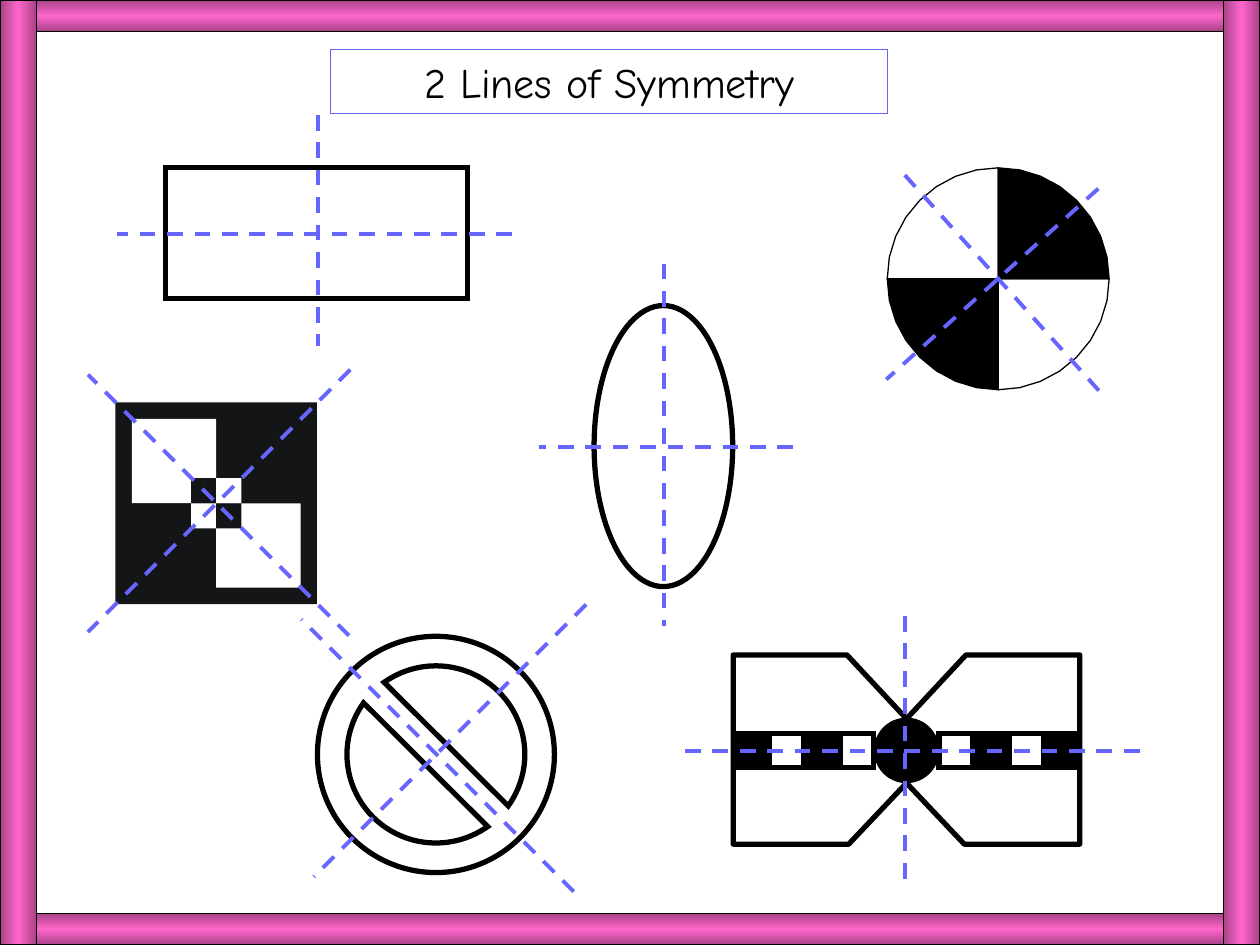
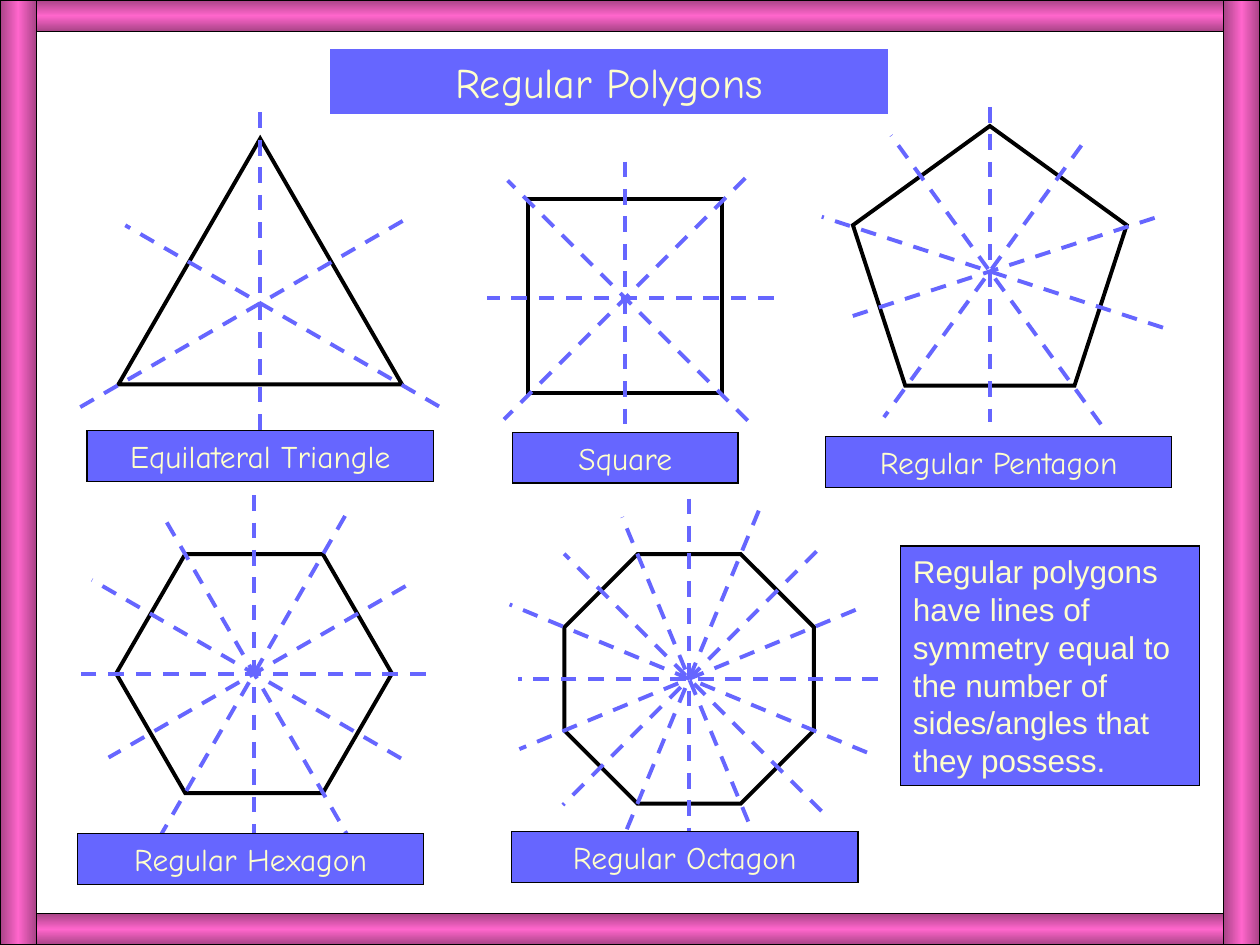
"""Two slides on lines of symmetry, drawn from shared frame, title and axis rules."""
from copy import deepcopy
from dataclasses import dataclass
from math import cos, radians, sin

from pptx import Presentation
from pptx import util as u
from pptx.dml.color import RGBColor
from pptx.enum import dml, shapes, text
from pptx.oxml import ns
from pptx.oxml.xmlchemy import OxmlElement

Pt = u.Pt
SHAPE = shapes.MSO_SHAPE


@dataclass(frozen=True)
class Theme:
    """Colours, fonts and sizes shared by both slides."""
    violet: str = "6666FF"
    cream: str = "FFFFCC"
    black: str = "000000"
    white: str = "FFFFFF"
    ink: str = "131516"
    pink: str = "FF66CC"
    plum: str = "A84386"
    hand: str = "Comic Neue"
    sans: str = "Arial"
    title: float = 24
    body: float = 18
    hair: float = 0.75
    axis: float = 2.25
    bold: float = 3


T = Theme()
WIDTH, HEIGHT = 720, 540


def rgb(value):
    """Return a colour object for a hex string."""
    return RGBColor.from_string(value)


def paint(sp, fill=None, line=None, width=T.hair, join="miter"):
    """Give a shape its fill, outline and corner style."""
    if fill:
        sp.fill.solid()
        sp.fill.fore_color.rgb = rgb(fill)
    else:
        sp.fill.background()
    if line:
        sp.line.color.rgb = rgb(line)
        sp.line.width = Pt(width)
        sp.line._get_or_add_ln().append(OxmlElement(f"a:{join}"))
    else:
        sp.line.fill.background()


def add_preset(s, kind, box, **look):
    """Add a preset shape in a box of points."""
    sp = s.shapes.add_shape(kind, *map(Pt, box))
    sp.shadow.inherit = False
    paint(sp, **look)
    return sp


def add_outline(s, points, close, **look):
    """Add a freeform through a list of points."""
    points = [(Pt(x), Pt(y)) for x, y in points]
    builder = s.shapes.build_freeform(*points[0], scale=1.0)
    builder.add_line_segments(points[1:], close=close)
    sp = builder.convert_to_shape()
    sp.shadow.inherit = False
    paint(sp, **look)


def write(sp, words, size, color, font=T.hand, align=text.PP_ALIGN.CENTER):
    """Write one paragraph into a shape from its top edge."""
    tf = sp.text_frame
    tf.text = words
    tf.word_wrap = True
    tf.auto_size = text.MSO_AUTO_SIZE.NONE
    tf.vertical_anchor = text.MSO_ANCHOR.TOP
    tf.margin_left = tf.margin_right = Pt(7.2)
    tf.margin_top = tf.margin_bottom = Pt(3.6)
    p = tf.paragraphs[0]
    p.alignment = align
    p.line_spacing = 1.0
    p.space_before = Pt(0)
    f = p.runs[0].font
    f.name, f.size, f.color.rgb = font, Pt(size), rgb(color)


def add_axes(s, center, reaches, start=0):
    """Draw evenly turned dashed axes, each with a forward and a backward reach."""
    cx, cy = center
    for k, (ahead, back) in enumerate(reaches):
        t = radians(start + k * 180 / len(reaches))
        dx, dy = sin(t), -cos(t)
        ends = (cx + ahead * dx, cy + ahead * dy, cx - back * dx, cy - back * dy)
        c = s.shapes.add_connector(shapes.MSO_CONNECTOR.STRAIGHT, *map(Pt, ends))
        c.line.color.rgb = rgb(T.violet)
        c.line.width = Pt(T.axis)
        c.line.dash_style = dml.MSO_LINE.DASH
        c._element.spPr.append(OxmlElement("a:effectLst"))


def add_bar(s, box, angle):
    """Add one glossy bar of the frame."""
    sp = add_preset(s, SHAPE.RECTANGLE, box, line=T.black)
    sp.fill.gradient()
    sp.fill.gradient_angle = angle
    stops = sp._element.spPr.find(ns.qn("a:gradFill")).find(ns.qn("a:gsLst"))
    stops.append(deepcopy(stops[0]))
    for stop, place, color in zip(sp.fill.gradient_stops, (0, 0.5, 1), (T.plum, T.pink, T.plum)):
        stop.color.rgb = rgb(color)
        stop.position = place


def add_framed_slide(prs, title, fill, color):
    """Add a slide with the pink frame and a boxed title."""
    s = prs.slides.add_slide(prs.slide_layouts[5])
    band, post = 18, 20.9
    for y in (0, HEIGHT - band):
        add_bar(s, (0, y, WIDTH, band), 90)
    for x in (0, WIDTH - post):
        add_bar(s, (x, 0, post, HEIGHT), 0)
    sp = s.shapes.title
    sp.left, sp.top, sp.width, sp.height = map(Pt, (189, 28.5, 318.2, 36.2))
    paint(sp, fill=fill, line=T.violet)
    write(sp, title, T.title, color)
    return s


def add_pinwheel(s, center, radius):
    """Draw a disc of four quarters, alternately black and white."""
    cx, cy = center
    for quarter in range(4):
        angles = [radians(90 * quarter + 11.25 * i) for i in range(9)]
        arc = [(cx + radius * cos(a), cy + radius * sin(a)) for a in angles]
        fill = T.black if quarter % 2 else T.white
        add_outline(s, [center, *arc], True, fill=fill, line=T.black, width=0)


def add_checker(s, box):
    """Draw the dark square with two white panels and four small centre squares."""
    x, y, w, h = box
    cx, cy = x + w / 2, y + h / 2
    add_preset(s, SHAPE.RECTANGLE, box, fill=T.ink)

    def corner(side, right, low, fill):
        """Place a square that touches the centre with one corner."""
        place = (cx if right else cx - side, cy if low else cy - side, side, side)
        add_preset(s, SHAPE.RECTANGLE, place, fill=fill)

    for same in (False, True):
        corner(48.2, same, same, T.white)
    for right in (False, True):
        for low in (False, True):
            corner(14.4, right, low, T.ink if right == low else T.white)


def add_bow(s, center):
    """Draw a bow with two wings, a round knot and a row of tiles on each side."""
    cx, cy = center
    wing = [(0, 18.7), (33, 53.6), (99, 53.6), (99, -54.5), (34, -54.5), (0, -18)]
    knot, tile, step, inset = 36.7, 19.4, 20.1, 18.6
    for side in (-1, 1):
        points = [(cx + side * x, cy + y) for x, y in wing]
        add_outline(s, points, False, line=T.black, width=T.bold, join="round")
    add_preset(s, SHAPE.OVAL, (cx - knot / 2, cy - knot / 2, knot, knot),
               fill=T.black, line=T.black)
    for side in (-1, 1):
        for i in range(4):
            middle = cx + side * (inset + i * step + tile / 2)
            add_preset(s, SHAPE.RECTANGLE, (middle - tile / 2, cy - tile / 2, tile, tile),
                       fill=T.black if i % 2 else T.white, line=T.black, width=T.bold)


def build_two_lines(prs):
    """Build the slide of figures with two axes each."""
    s = add_framed_slide(prs, "2 Lines of Symmetry", None, T.black)
    bold = dict(line=T.black, width=T.bold)
    add_preset(s, SHAPE.RECTANGLE, (94.5, 95.8, 172.8, 75), **bold)
    add_preset(s, SHAPE.OVAL, (339.5, 174.6, 79.2, 160.6), **bold)
    ban = add_preset(s, SHAPE.NO_SYMBOL, (181.4, 363.6, 135.4, 135), **bold)
    ban.adjustments[0] = 0.125
    wheel, checker, bow = (570.4, 159.3), (66, 230, 115.2, 115.2), (518, 428.8)
    add_pinwheel(s, wheel, 63.4)
    add_checker(s, checker)
    add_bow(s, bow)
    for center, start, reaches in (
        ((181.6, 133.7), 0, ((68, 64), (111, 115))),
        (wheel, 48, ((77, 86), (86, 85))),
        ((123.8, 287.6), 45, ((108, 104), (107, 104))),
        ((379.2, 255.6), 0, ((105, 102), (74, 71))),
        ((249.4, 431), 45, ((121, 99), (111, 109))),
        ((517.2, 429), 0, ((77, 78), (134, 130))),
    ):
        add_axes(s, center, reaches, start)


def add_polygon(s, kind, box, balance, adjust, reaches, label):
    """Draw a polygon with its axes and a name plate below it."""
    x, y, w, h = box
    sp = add_preset(s, kind, box, line=T.black, width=T.axis)
    if adjust:
        sp.adjustments[0] = adjust
    add_axes(s, (x + w / 2, y + h * balance), reaches)
    name, plate, shift, gap = label
    sp = add_preset(s, SHAPE.RECTANGLE, (x + (w - plate) / 2 + shift, y + h + gap, plate, 29),
                    fill=T.violet, line=T.black)
    write(sp, name, T.body, T.cream)


def build_polygons(prs):
    """Build the slide of regular polygons with all their axes."""
    s = add_framed_slide(prs, "Regular Polygons", T.violet, T.cream)
    wide = 198
    for figure in (
        (SHAPE.ISOSCELES_TRIANGLE, (67.7, 79.2, 162, 140.4), 0.67, None,
         ((109, 83), (94, 119), (118, 89)),
         ("Equilateral Triangle", wide, 0, 26.6)),
        (SHAPE.RECTANGLE, (301.8, 113.8, 110.9, 110.9), 0.51, None,
         ((78, 77), (97, 98), (85, 79), (99, 95)),
         ("Square", 129, 0, 22.4)),
        (SHAPE.REGULAR_PENTAGON, (487.4, 72, 156.5, 148.4), 0.56, None,
         ((94, 86), (89, 103), (99, 85), (104, 101), (108, 96)),
         ("Regular Pentagon", wide, 5, 29.2)),
        (SHAPE.HEXAGON, (66.4, 316.6, 157.6, 136.6), 0.5, 0.289,
         ((102, 99), (104, 112), (100, 96), (98, 104), (97, 107), (113, 105)),
         ("Regular Hexagon", wide, -2, 23.2)),
        (SHAPE.OCTAGON, (322.5, 316.6, 142.6, 142.6), 0.5, 0.293,
         ((103, 100), (104, 98), (103, 102), (103, 105),
          (108, 98), (110, 111), (107, 101), (104, 100)),
         ("Regular Octagon", wide, -2.5, 16)),
    ):
        add_polygon(s, *figure)
    sp = add_preset(s, SHAPE.RECTANGLE, (514.6, 312, 171, 136.8), fill=T.violet, line=T.black)
    write(sp, "Regular polygons have lines of symmetry equal to the number of "
          "sides/angles that they possess.", T.body, T.cream, T.sans, text.PP_ALIGN.LEFT)


def main():
    """Build and save the two slides."""
    prs = Presentation()
    prs.slide_width, prs.slide_height = Pt(WIDTH), Pt(HEIGHT)
    build_two_lines(prs)
    build_polygons(prs)
    prs.save("out.pptx")


if __name__ == "__main__":
    main()
